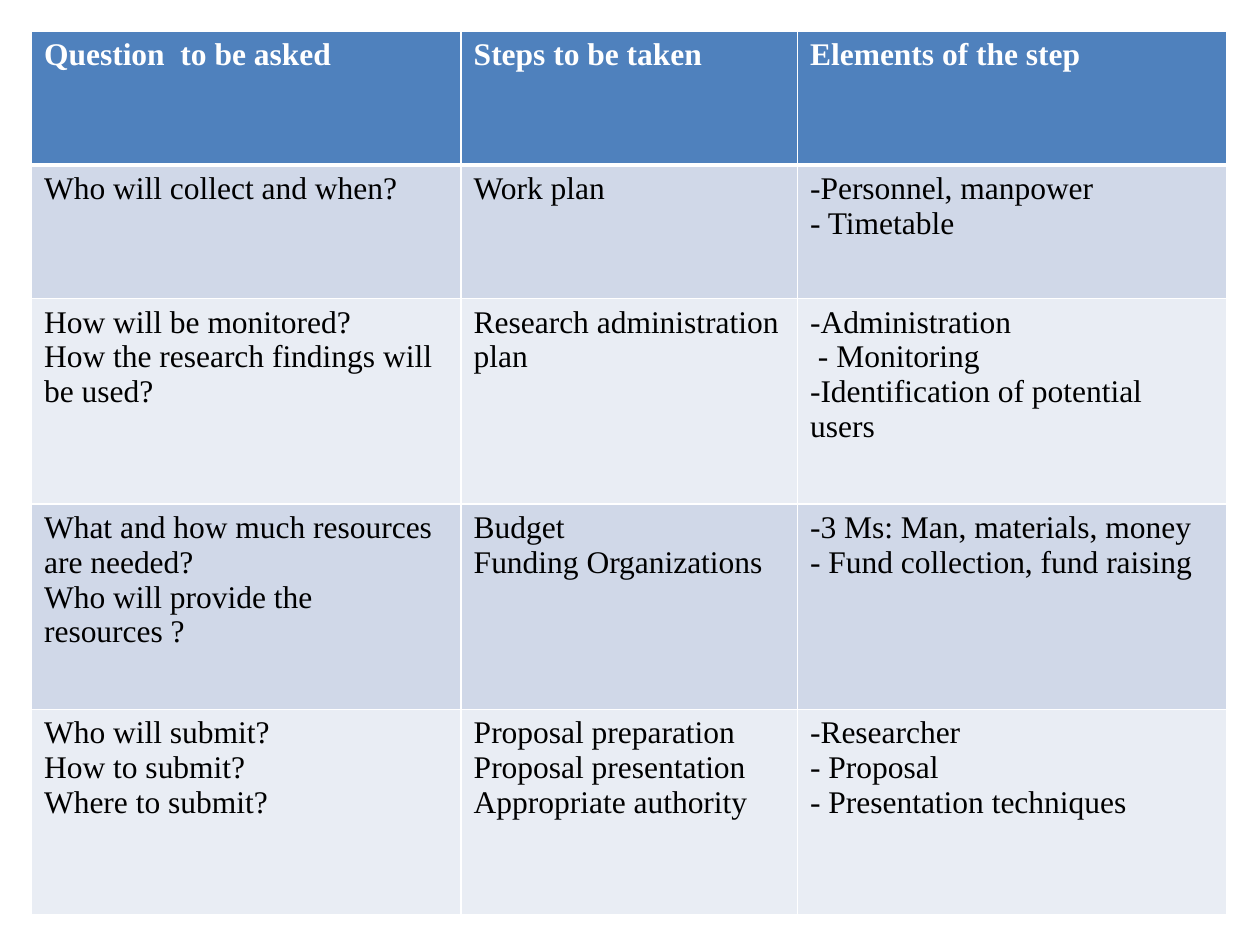
from lxml import etree
from pptx import Presentation, util as u
from pptx.dml.color import RGBColor
from pptx.oxml.ns import qn

BULLET = "•"
COLUMNS = [3.41, 2.67, 3.41]
ROWS = [1.06, 1.06, 1.63, 1.63, 1.63]
STEPS = [
    [["Question  to be asked"], ["Steps to be taken"], ["Elements of the step"]],
    [["Who will collect and when?"], ["Work plan"],
     ["•Personnel, manpower", "• Timetable"]],
    [["How will be monitored?", "How the research findings will be used?"],
     ["Research administration plan"],
     ["-Administration", " - Monitoring", "•Identification of potential users"]],
    [["What and how much resources are needed?", "Who will provide the resources ?"],
     ["Budget", "Funding Organizations"],
     ["•3 Ms: Man, materials, money", "• Fund collection, fund raising"]],
    [["Who will submit?", "How to submit?", "Where to submit?"],
     ["Proposal preparation", "Proposal presentation", "Appropriate authority"],
     ["•Researcher", "• Proposal", "• Presentation techniques"]],
]


def color(value):
    return RGBColor.from_string(value)


def add_color(parent, value):
    etree.SubElement(parent, qn("a:srgbClr"), val=value)


class Deck:
    font = "Times New Roman"
    size = 18
    header = "4F81BD"
    bands = ["E9EDF4", "D0D8E8"]
    light = "FFFFFF"
    dark = "000000"

    def __init__(self, width, height):
        self.prs = Presentation()
        self.prs.slide_width = u.Inches(width)
        self.prs.slide_height = u.Inches(height)
        self.s = self.prs.slides.add_slide(self.prs.slide_layouts[6])

    def table(self, left, top, columns, rows, content):
        table = self.s.shapes.add_table(
            len(rows), len(columns), u.Inches(left), u.Inches(top),
            u.Inches(sum(columns)), u.Inches(sum(rows))).table
        for column, width in zip(table.columns, columns):
            column.width = u.Inches(width)
        for i, (row, height) in enumerate(zip(table.rows, rows)):
            row.height = u.Inches(height)
            for cell, lines in zip(row.cells, content[i]):
                self.cell(cell, lines, i)

    def cell(self, cell, lines, row):
        top = 3 if row == 1 else 1
        bottom = 3 if row == 0 else 1
        for side, width in zip("LRTB", (1, 1, top, bottom)):
            self.border(cell, side, width)
        cell.fill.solid()
        cell.fill.fore_color.rgb = color(self.bands[row % 2] if row else self.header)
        tf = cell.text_frame
        for i, line in enumerate(lines):
            p = tf.add_paragraph() if i else tf.paragraphs[0]
            if line.startswith(BULLET):
                self.dash(p)
            self.run(p, line.removeprefix(BULLET), row == 0)

    def border(self, cell, side, width):
        tc_pr = cell._tc.get_or_add_tcPr()
        ln = etree.SubElement(tc_pr, qn(f"a:ln{side}"), w=str(u.Pt(width)))
        add_color(etree.SubElement(ln, qn("a:solidFill")), self.light)

    def dash(self, p):
        p_pr = p._p.get_or_add_pPr()
        p_pr.set("marL", "0")
        p_pr.set("indent", str(u.Inches(-0.12)))
        add_color(etree.SubElement(p_pr, qn("a:buClr")), self.dark)
        etree.SubElement(p_pr, qn("a:buFont"), typeface=self.font)
        etree.SubElement(p_pr, qn("a:buChar"), char="-")

    def run(self, p, words, heading):
        r = p.add_run()
        r.text = words
        r.font.name = self.font
        r.font.size = u.Pt(self.size)
        r.font.bold = heading
        r.font.color.rgb = color(self.light if heading else self.dark)


def main():
    deck = Deck(10, 7.5)
    deck.table(0.25, 0.25, COLUMNS, ROWS, STEPS)
    deck.prs.save("out.pptx")


if __name__ == "__main__":
    main()
